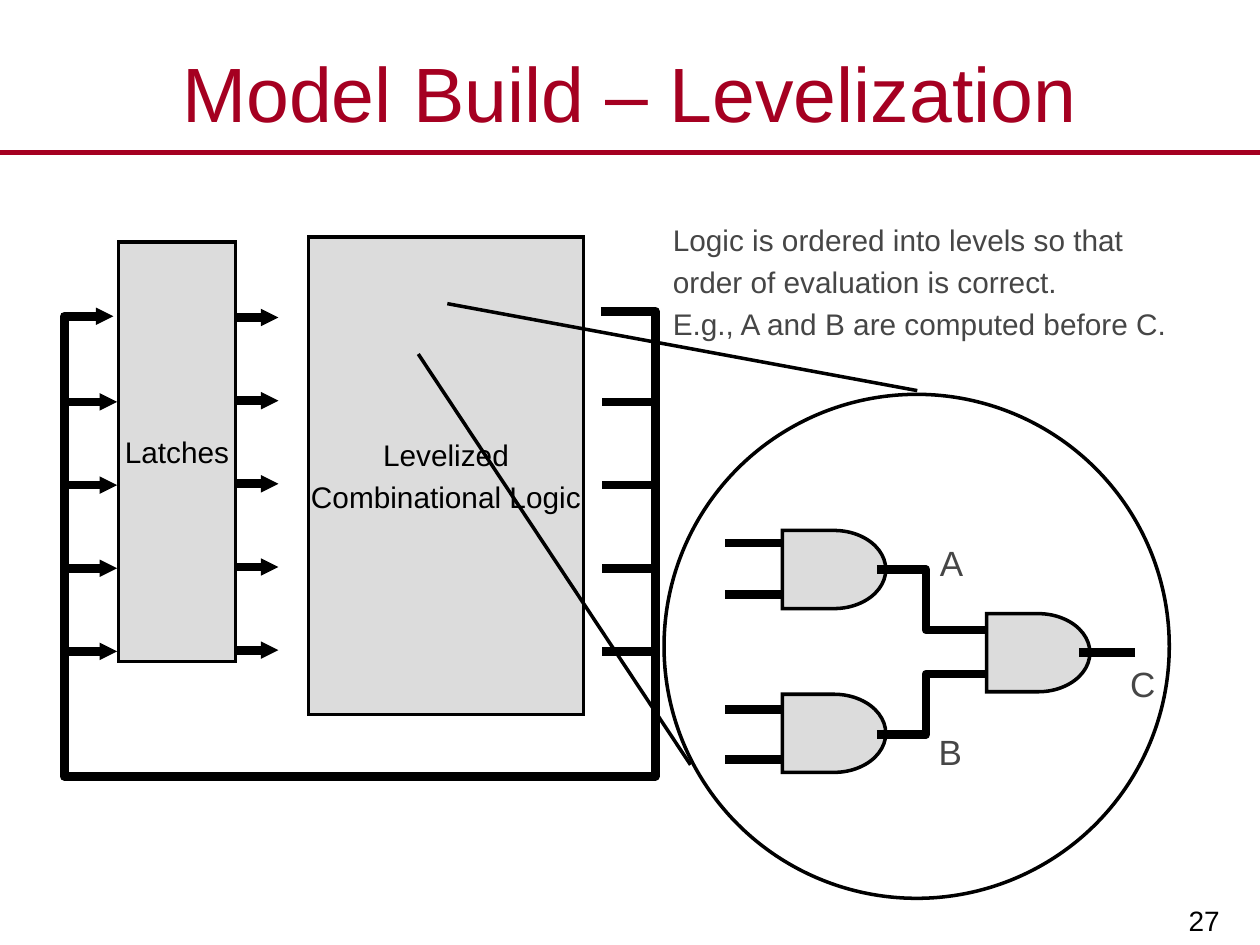
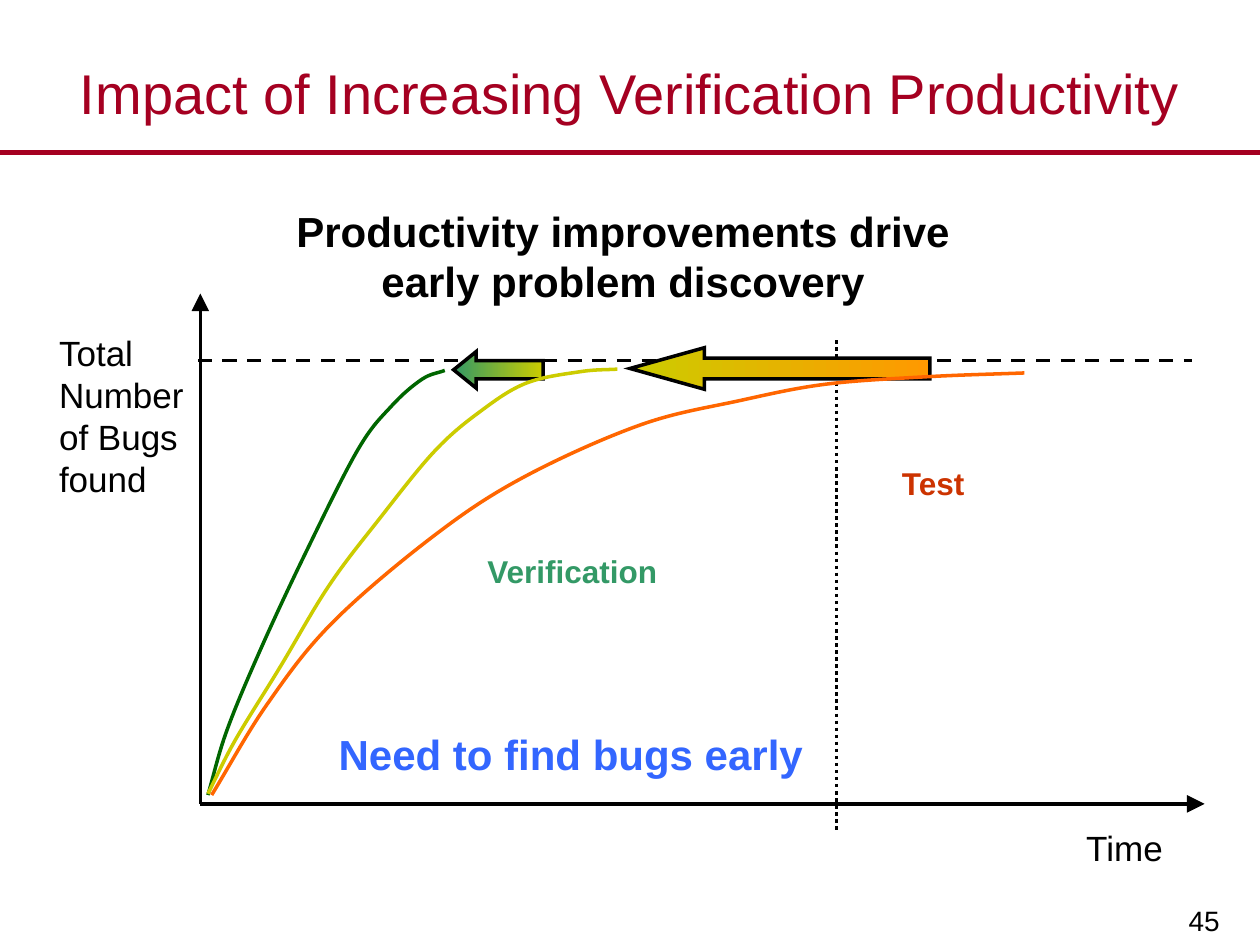
from lxml import etree
from pptx import Presentation
from pptx.dml.color import RGBColor
from pptx.enum.dml import MSO_LINE
from pptx.enum.shapes import MSO_CONNECTOR, MSO_SHAPE
from pptx.enum.text import MSO_ANCHOR, PP_ALIGN
from pptx.oxml.ns import qn
from pptx.util import Inches, Pt

LEFT, MID, RIGHT = PP_ALIGN.LEFT, PP_ALIGN.CENTER, PP_ALIGN.RIGHT
TOP, MIDDLE, BOTTOM = MSO_ANCHOR.TOP, MSO_ANCHOR.MIDDLE, MSO_ANCHOR.BOTTOM
RECT, OVAL = MSO_SHAPE.RECTANGLE, MSO_SHAPE.OVAL
GATE, ARROW = MSO_SHAPE.FLOWCHART_DELAY, MSO_SHAPE.LEFT_ARROW
DASH, DOT = MSO_LINE.DASH, MSO_LINE.ROUND_DOT
STRAIGHT = MSO_CONNECTOR.STRAIGHT

FONT = "Arial"
THIN, BAND, THICK = 2, 3, 5
GAP = 3.5
FLUSH, INSET, FOOT = (0, 0), (0.1, 0.05), (0.11, 0.06)
COLORS = {
    "black": "000000", "crimson": "A50021", "gray": "DCDCDC",
    "slate": "464646", "red": "CC3300", "green": "339966",
    "forest": "006600", "lime": "CCCC00", "amber": "FF9900",
    "orange": "FF6600", "blue": "3366FF",
}


def rgb(name):
    return RGBColor.from_string(COLORS[name])


def box(at):
    return [Inches(v) for v in at]


class Deck:
    def __init__(self):
        self.file = Presentation()
        self.file.slide_width = Inches(10)
        self.file.slide_height = Inches(7.5)
        self.slide = None

    def page(self, title, size, number):
        """Start a slide with its title, rule and page number."""
        self.slide = self.file.slides.add_slide(self.file.slide_layouts[6])
        self.line((0, 1.21), (10, 1.21), BAND, "crimson")
        self.text((7.8, 6.93, 1.99, 0.57), [str(number)], 16, align=RIGHT,
                  anchor=BOTTOM, inset=FOOT)
        self.text((0, 0.3, 10, 0.86), [title], size, "crimson", align=MID,
                  anchor=MIDDLE)

    def letter(self, frame, lines, size, color="black", bold=False,
               align=LEFT, anchor=TOP, inset=INSET, wrap=True, after=0):
        """Fill a text frame, one paragraph a line."""
        frame.word_wrap = wrap
        frame.vertical_anchor = anchor
        frame.margin_left = frame.margin_right = Inches(inset[0])
        frame.margin_top = frame.margin_bottom = Inches(inset[1])
        for i, line in enumerate(lines):
            para = frame.add_paragraph() if i else frame.paragraphs[0]
            para.text = line
            para.alignment = align
            para.space_after = Pt(after)
            font = para.font
            font.name, font.size, font.bold = FONT, Pt(size), bold
            font.color.rgb = rgb(color)

    def text(self, at, lines, size, color="black", **style):
        area = self.slide.shapes.add_textbox(*box(at))
        self.letter(area.text_frame, lines, size, color, **style)

    def stroke(self, item, width, color="black"):
        item.line.width = Pt(width)
        item.line.color.rgb = rgb(color)

    def tip(self, item, size):
        """Put an arrowhead on the end of a line."""
        etree.SubElement(item._element.spPr.find(qn("a:ln")), qn("a:tailEnd"),
                         type="triangle", w=size, len=size)

    def line(self, start, end, width=THIN, color="black", dash=None, tip=None):
        item = self.slide.shapes.add_connector(STRAIGHT, *box(start + end))
        self.stroke(item, width, color)
        etree.SubElement(item._element.spPr, qn("a:effectLst"))
        if dash:
            item.line.dash_style = dash
        if tip:
            self.tip(item, tip)

    def shape(self, kind, at, fill=None, lines=()):
        """Add an outlined shape; a pair of fill colours makes a gradient."""
        item = self.slide.shapes.add_shape(kind, *box(at))
        item.shadow.inherit = False
        if isinstance(fill, tuple):
            item.fill.gradient()
            item.fill.gradient_angle = 0
            for stop, name, place in zip(item.fill.gradient_stops, fill, (0, 1)):
                stop.color.rgb = rgb(name)
                stop.position = place
        elif fill:
            item.fill.solid()
            item.fill.fore_color.rgb = rgb(fill)
        else:
            item.fill.background()
        self.stroke(item, THIN)
        etree.SubElement(item._element.spPr.find(qn("a:ln")), qn("a:miter"),
                         lim="800000")
        if lines:
            self.letter(item.text_frame, lines, 17, align=MID, anchor=MIDDLE,
                        inset=FLUSH, wrap=False, after=GAP)
        return item

    def trace(self, points, width, color="black", tip=None):
        """Draw an open outline through the points."""
        spots = [box(p) for p in points]
        pen = self.slide.shapes.build_freeform(*spots[0])
        pen.add_line_segments(spots[1:], close=False)
        item = pen.convert_to_shape()
        item.shadow.inherit = False
        item.fill.background()
        self.stroke(item, width, color)
        if tip:
            self.tip(item, tip)
        return item

    def curve(self, points, color):
        """Draw a smooth spline through the points."""
        item = self.trace(points, THIN, color)
        knots = [(int(p.get("x")), int(p.get("y")))
                 for p in item._element.iter(qn("a:pt"))]
        last = len(knots) - 1

        def slope(i):
            low, high = max(i - 1, 0), min(i + 1, last)
            return [(b - a) / (3 * (high - low))
                    for a, b in zip(knots[low], knots[high])]

        for i, step in enumerate(list(item._element.iter(qn("a:lnTo")))):
            lead = [a + d for a, d in zip(knots[i], slope(i))]
            trail = [a - d for a, d in zip(knots[i + 1], slope(i + 1))]
            bend = etree.Element(qn("a:cubicBezTo"))
            for x, y in (lead, trail, knots[i + 1]):
                etree.SubElement(bend, qn("a:pt"), x=str(round(x)), y=str(round(y)))
            step.getparent().replace(step, bend)


def levels(deck):
    deck.page("Model Build – Levelization", 44, 27)
    pitch = 0.66
    deck.shape(RECT, (2.45, 1.88, 2.18, 3.79), "gray",
               ["Levelized", "Combinational Logic"])
    for i in range(5):
        y = 2.52 + i * pitch
        deck.line((1.82, y), (2.21, y), THICK, tip="sm")
    deck.shape(RECT, (0.94, 1.92, 0.93, 3.33), "gray", ["Latches"])

    deck.trace([(4.77, 2.47), (5.2, 2.47), (5.2, 6.16), (0.51, 6.16),
                (0.51, 2.51), (0.9, 2.51)], THICK, tip="sm")
    for i in range(4):
        y = 3.19 + i * pitch
        deck.line((4.78, y), (5.18, y), THICK)
        deck.line((0.53, y), (0.93, y), THICK, tip="sm")

    for x, y in ((6.21, 4.21), (6.21, 5.51), (7.83, 4.87)):
        deck.shape(GATE, (x, y, 0.82, 0.62), "gray")
    for out, into in ((4.52, 5), (5.83, 5.35)):
        deck.trace([(6.96, out), (7.35, out), (7.35, into), (7.83, into)], THICK)
    for y in (4.31, 4.72, 5.63, 6.03):
        deck.line((6.2, y), (5.75, y), THICK)
    deck.line((9.01, 5.18), (8.56, 5.18), THICK)
    for name, x, y in (("A", 7.46, 4.3), ("B", 7.45, 5.8), ("C", 8.97, 5.26)):
        deck.text((x, y, 0.21, 0.34), [name], 20, "slate", inset=FLUSH)

    deck.shape(OVAL, (5.27, 3.13, 4.01, 4))
    deck.line((7.28, 3.1), (3.55, 2.41))
    deck.line((5.48, 6.07), (3.32, 2.81))
    deck.text((5.34, 1.76, 4.06, 0.92),
              ["Logic is ordered into levels so that",
               "order of evaluation is correct.",
               "E.g., A and B are computed before C."],
              17, "slate", inset=FLUSH, after=GAP)


def impact(deck):
    deck.page("Impact of Increasing Verification Productivity", 32, 45)
    deck.line((1.59, 6.38), (1.59, 2.33), tip="lg")
    deck.line((1.59, 6.38), (9.56, 6.38), tip="lg")
    deck.text((8.5, 6.51, 0.85, 0.44), ["Time"], 20, align=MID, wrap=False)
    deck.text((0.37, 2.58, 1.41, 1.45),
              ["Total", "Number", "of Bugs", "found"], 20)
    deck.line((1.57, 2.86), (9.46, 2.86), dash=DASH)
    deck.line((6.64, 2.7), (6.64, 6.59), dash=DOT)
    deck.text((7.06, 3.63, 0.72, 0.4), ["Test"], 18, "red", bold=True, wrap=False)
    deck.text((3.77, 4.33, 1.63, 0.4), ["Verification"], 18, "green",
              bold=True, wrap=False)
    deck.text((2.25, 1.58, 5.39, 0.9),
              ["Productivity improvements drive", "early problem discovery"],
              24, bold=True, align=MID, wrap=False)

    for at, head, fill in (
        ((5, 2.76, 2.38, 0.33), 1.79, ("lime", "amber")),
        ((3.6, 2.79, 0.71, 0.29), 0.62, ("green", "lime")),
    ):
        arrow = deck.shape(ARROW, at, fill)
        arrow.adjustments[1] = head

    deck.curve([(1.65, 6.31), (1.8, 5.8), (2.07, 5.15), (2.42, 4.4),
                (2.84, 3.57), (3.11, 3.22), (3.35, 3.01), (3.53, 2.94)], "forest")
    deck.curve([(1.65, 6.3), (1.87, 5.87), (2.22, 5.3), (2.61, 4.65),
                (3.01, 4.12), (3.45, 3.58), (3.82, 3.26), (4.18, 3.04),
                (4.61, 2.95), (4.9, 2.93)], "lime")
    deck.curve([(1.68, 6.31), (2.12, 5.59), (2.64, 4.94), (3.46, 4.24),
                (4.17, 3.78), (5.09, 3.37), (5.87, 3.18), (6.55, 3.05),
                (7.36, 2.99), (8.13, 2.96)], "orange")
    deck.text((2.57, 5.73, 3.92, 0.5), ["Need to find bugs early"], 24, "blue",
              bold=True, align=MID, wrap=False)


def main():
    deck = Deck()
    levels(deck)
    impact(deck)
    deck.file.save("out.pptx")


if __name__ == "__main__":
    main()
